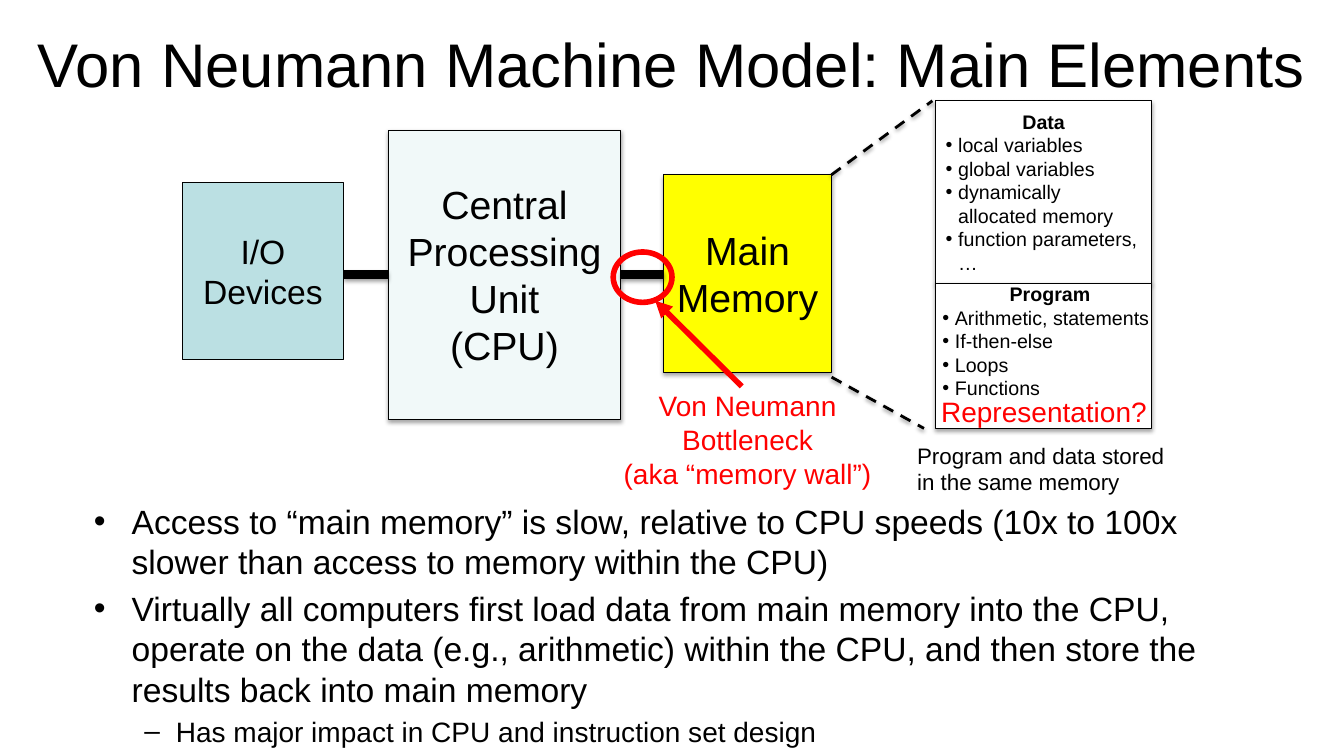
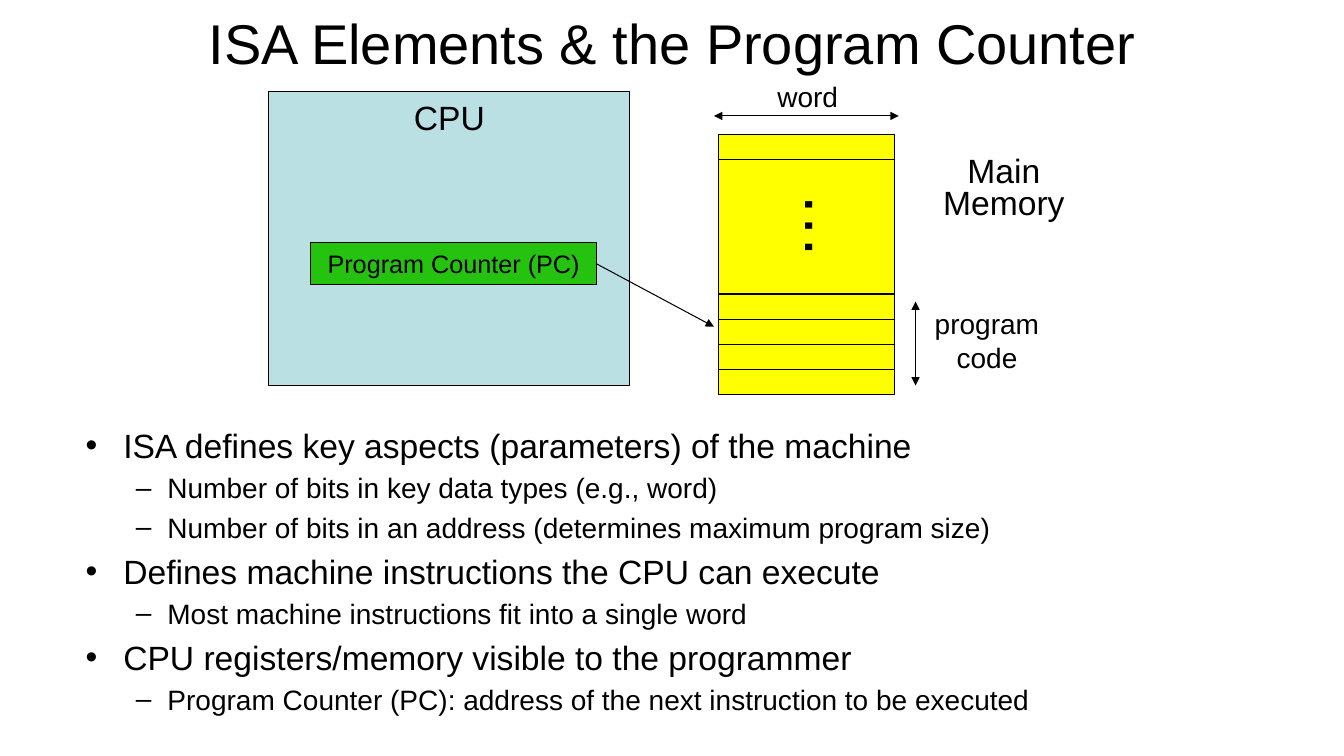
from collections import namedtuple
from dataclasses import dataclass

from lxml import etree
from pptx import Presentation
from pptx.dml.color import RGBColor
from pptx.enum.dml import MSO_LINE
from pptx.enum.shapes import MSO_CONNECTOR, MSO_SHAPE
from pptx.enum.text import MSO_ANCHOR, PP_ALIGN
from pptx.oxml.ns import qn
from pptx.util import Inches, Pt

COLUMNS, ROWS = 160, 90
WIDTH, HEIGHT = Inches(13.33), Inches(7.5)
FONT = "Arial"
BLACK, WHITE, RED = "000000", "FFFFFF", "FF0000"
TEAL, PALE, YELLOW, GREEN = "BBE0E3", "F1F9F9", "FFFF00", "25C210"
THIN, MEDIUM, THICK, BUS = 0.75, 2, 4, 6
SHAPE_SHADOW, LINE_SHADOW = (35, 1.8), (38, 1.6)

Bullet = namedtuple("Bullet", "mark left hang size before")
POINT = Bullet("•", 4.5, 4.5, 24, 20)
SUBPOINT = Bullet("–", 9.75, 3.75, 20, 20)
ITEM = Bullet("•", 1.5, 1.5, 14, 0)


@dataclass
class Box:
    """A rectangle in grid columns and rows."""
    x: float
    y: float
    w: float
    h: float

    def inner(self, x, y, w, h):
        """Return a box offset from this one."""
        return Box(self.x + x, self.y + y, w, h)

    def point(self, x, y):
        """Return a point offset from this box."""
        return self.x + x, self.y + y

    def at(self, right, below):
        """Return the point at these shares of the box."""
        return self.point(self.w * right, self.h * below)

    def emu(self):
        """Return left, top, width and height for python-pptx."""
        return across(self.x), down(self.y), across(self.w), down(self.h)


def across(columns):
    """Turn columns into a length."""
    return round(WIDTH * columns / COLUMNS)


def down(rows):
    """Turn rows into a length."""
    return round(HEIGHT * rows / ROWS)


def colour(hex_text):
    """Turn a hex string into a colour."""
    return RGBColor.from_string(hex_text)


def child(parent, tag, **attributes):
    """Append a drawing element with the given attributes."""
    node = etree.SubElement(parent, qn("a:" + tag))
    for name, value in attributes.items():
        node.set(name, str(value))
    return node


def set_effects(item, shadow=None):
    """Clear inherited effects and add a soft downward shadow if asked."""
    effects = item.element.spPr.find(qn("a:effectLst"))
    if effects is None:
        effects = child(item.element.spPr, "effectLst")
    if shadow:
        alpha, distance = shadow
        outer = child(effects, "outerShdw", blurRad=Pt(3.1), dist=Pt(distance),
                      dir=90 * 60000, rotWithShape=0)
        child(child(outer, "srgbClr", val=BLACK), "alpha", val=alpha * 1000)


def set_bullet(paragraph, bullet):
    """Give a paragraph its hanging mark and space before."""
    props = paragraph._p.get_or_add_pPr()
    props.set("marL", str(across(bullet.left)))
    props.set("indent", str(-across(bullet.hang)))
    child(child(props, "spcBef"), "spcPct", val=bullet.before * 1000)
    child(props, "buFont", typeface=FONT)
    child(props, "buChar", char=bullet.mark)


def write(item, lines, size, align=PP_ALIGN.CENTER, ink=BLACK,
          anchor=MSO_ANCHOR.TOP, wrap=True, spacing=None):
    """Fill an item with lines, each a string or a (bullet, string) pair."""
    frame = item.text_frame
    frame.word_wrap, frame.vertical_anchor = wrap, anchor
    for number, line_text in enumerate(lines):
        paragraph = frame.add_paragraph() if number else frame.paragraphs[0]
        bullet, words = (None, line_text) if isinstance(line_text, str) else line_text
        paragraph.alignment = PP_ALIGN.LEFT if bullet else align
        if spacing:
            paragraph.line_spacing = spacing
        if bullet:
            set_bullet(paragraph, bullet)
        run = paragraph.add_run()
        run.text = words
        run.font.name, run.font.color.rgb = FONT, colour(ink)
        run.font.size = Pt(bullet.size if bullet else size)
    return item


def label(slide, box, lines, size, **style):
    """Add a text box."""
    return write(slide.shapes.add_textbox(*box.emu()), lines, size, **style)


def block(slide, box, fill=None, lines=(), size=24, shadow=None, ink=BLACK,
          weight=THIN, kind=MSO_SHAPE.RECTANGLE, anchor=MSO_ANCHOR.MIDDLE):
    """Add an outlined shape, with text if given."""
    shape = slide.shapes.add_shape(kind, *box.emu())
    shape.shadow.inherit = False
    if fill:
        shape.fill.solid()
        shape.fill.fore_color.rgb = colour(fill)
    else:
        shape.fill.background()
    shape.line.color.rgb, shape.line.width = colour(ink), Pt(weight)
    set_effects(shape, shadow)
    return write(shape, lines, size, anchor=anchor)


def line(slide, start, end, weight=THIN, ink=BLACK, shadow=None, dashed=False, heads=()):
    """Add a straight line with triangles at the named ends."""
    link = slide.shapes.add_connector(
        MSO_CONNECTOR.STRAIGHT, across(start[0]), down(start[1]),
        across(end[0]), down(end[1]))
    link.line.color.rgb, link.line.width = colour(ink), Pt(weight)
    if dashed:
        link.line.dash_style = MSO_LINE.DASH
    for end_name in heads:
        child(link.element.spPr.find(qn("a:ln")), end_name, type="triangle")
    set_effects(link, shadow)


def bold_heading(item):
    """Make the first line of an item bold."""
    item.text_frame.paragraphs[0].runs[0].font.bold = True


def title(slide, box, words, size):
    """Add the slide title."""
    label(slide, box, [words], size, anchor=MSO_ANCHOR.MIDDLE)


def machine(slide, box):
    """Draw the devices, processor and main memory; return the memory box."""
    cpu, memory = box.inner(24.5, 0, 27.7, 34.4), box.inner(57.3, 5.3, 20, 23.5)
    devices = box.inner(0, 6.2, 19.2, 21.1)
    block(slide, cpu, PALE, ["Central Processing Unit", "(CPU)"], 28, SHAPE_SHADOW)
    block(slide, memory, YELLOW, ["Main", "Memory"], 28, SHAPE_SHADOW)
    for left, right in ((cpu, memory), (devices, cpu)):
        line(slide, (left.x + left.w, cpu.at(0, 0.5)[1]),
             (right.x, cpu.at(0, 0.5)[1]), BUS, shadow=LINE_SHADOW)
    block(slide, devices, TEAL, ["I/O", "Devices"], 24)
    return memory


def memory_contents(slide, box, memory):
    """Draw the data and program panels, opened out from main memory."""
    data = block(slide, box.inner(0, 0, box.w, 21.7), WHITE, [
        "Data",
        (ITEM, "local variables"),
        (ITEM, "global variables"),
        (ITEM, "dynamically allocated memory"),
        (ITEM, "function parameters, …"),
    ], 14, SHAPE_SHADOW)
    block(slide, box.inner(0, 21.7, box.w, box.h - 21.7), WHITE, shadow=SHAPE_SHADOW)
    program = label(slide, box.inner(-0.4, 21, 28, 15.4), [
        "Program",
        (ITEM, "Arithmetic, statements"),
        (ITEM, "If-then-else"),
        (ITEM, "Loops"),
        (ITEM, "Functions"),
    ], 14)
    for panel in (data, program):
        bold_heading(panel)
    for start, end in ((memory.at(1, 0), box.point(-0.4, 0)),
                       (memory.point(memory.w, memory.h + 0.6), box.point(-1.4, box.h))):
        line(slide, start, end, MEDIUM, shadow=LINE_SHADOW, dashed=True)
    label(slide, box.inner(-3.4, box.h + 1, 32, 7.7),
          ["Program and data stored in the same memory"], 16, align=PP_ALIGN.LEFT)


def bottleneck(slide, box):
    """Circle the memory bus and name it."""
    label(slide, box.inner(0, 15.7, box.w, 13.3),
          ["Von Neumann Bottleneck", "(aka “memory wall”)"], 20, ink=RED)
    block(slide, box.inner(4, 0, 7, 6), ink=RED, weight=THICK, kind=MSO_SHAPE.OVAL)
    line(slide, box.point(19.3, 16), box.point(9, 5.8), THICK, RED, heads=["tailEnd"])


def processor(slide, box):
    """Draw the processor and its program counter; return the counter box."""
    block(slide, box, TEAL, ["CPU"], 24, anchor=MSO_ANCHOR.TOP)
    counter = box.inner(5, 18, 34, 5)
    block(slide, counter, GREEN, ["Program Counter (PC)"], 18)
    return counter


def word_memory(slide, box, row=3):
    """Draw main memory as rows of words with its measures."""
    label(slide, box.inner(22, 2.2, 24, 9), ["Main Memory"], 24, spacing=0.8)
    block(slide, box, YELLOW)
    for y in [row] + [box.h - row * count for count in range(1, 5)]:
        line(slide, box.point(0, y), box.point(box.w, y))
    dots = label(slide, box.inner(8.2, 5.6, 10.6, 10.9), ["…"], 48,
                 align=PP_ALIGN.LEFT, wrap=False)
    dots.rotation = 90
    label(slide, box.inner(24.5, 19.9, 15, 9.2), ["program", "code"], 20, wrap=False)
    label(slide, box.inner(5.8, -7.1, 9.7, 5.3), ["word"], 20, wrap=False)
    for start, end in (((23.5, 19.9), (23.5, 29.9)), ((21.5, -2.2), (-0.5, -2.2))):
        line(slide, box.point(*start), box.point(*end), heads=["headEnd", "tailEnd"])


def machine_slide(slide):
    """Build the slide on the main elements of the machine."""
    title(slide, Box(0, 0, COLUMNS, 15), "Von Neumann Machine Model: Main Elements", 44)
    label(slide, Box(10, 59, 144, 30), [
        (POINT, "Access to “main memory” is slow, relative to CPU speeds "
                "(10x to 100x slower than access to memory within the CPU)"),
        (POINT, "Virtually all computers first load data from main memory into the CPU, "
                "operate on the data (e.g., arithmetic) within the CPU, "
                "and then store the results back into main memory"),
        (SUBPOINT, "Has major impact in CPU and instruction set design"),
    ], 24)
    memory = machine(slide, Box(21.7, 15.5, 77.3, 34.4))
    contents = Box(111.4, 12, 25.7, 39)
    memory_contents(slide, contents, memory)
    bottleneck(slide, Box(69, 30, 40, 29))
    label(slide, contents.inner(-2.1, 34.4, 30, 5.3), ["Representation?"], 20, ink=RED)


def counter_slide(slide):
    """Build the slide on the program counter."""
    title(slide, Box(20, 0, 120, 10), "ISA Elements & the Program Counter", 40)
    label(slide, Box(9, 50, 144, 39), [
        (POINT, "ISA defines key aspects (parameters) of the machine"),
        (SUBPOINT, "Number of bits in key data types (e.g., word)"),
        (SUBPOINT, "Number of bits in an address (determines maximum program size)"),
        (POINT, "Defines machine instructions the CPU can execute"),
        (SUBPOINT, "Most machine instructions fit into a single word"),
        (POINT, "CPU registers/memory visible to the programmer"),
        (SUBPOINT, "Program Counter (PC): address of the next instruction to be executed"),
    ], 24)
    counter = processor(slide, Box(32, 10.9, 43, 35))
    memory = Box(85.5, 16, 21, 31)
    line(slide, counter.at(1, 0.5), memory.point(-0.5, 22.9), heads=["tailEnd"])
    word_memory(slide, memory)


deck = Presentation()
deck.slide_width, deck.slide_height = WIDTH, HEIGHT
for build in (machine_slide, counter_slide):
    build(deck.slides.add_slide(deck.slide_layouts[6]))
deck.save("out.pptx")
